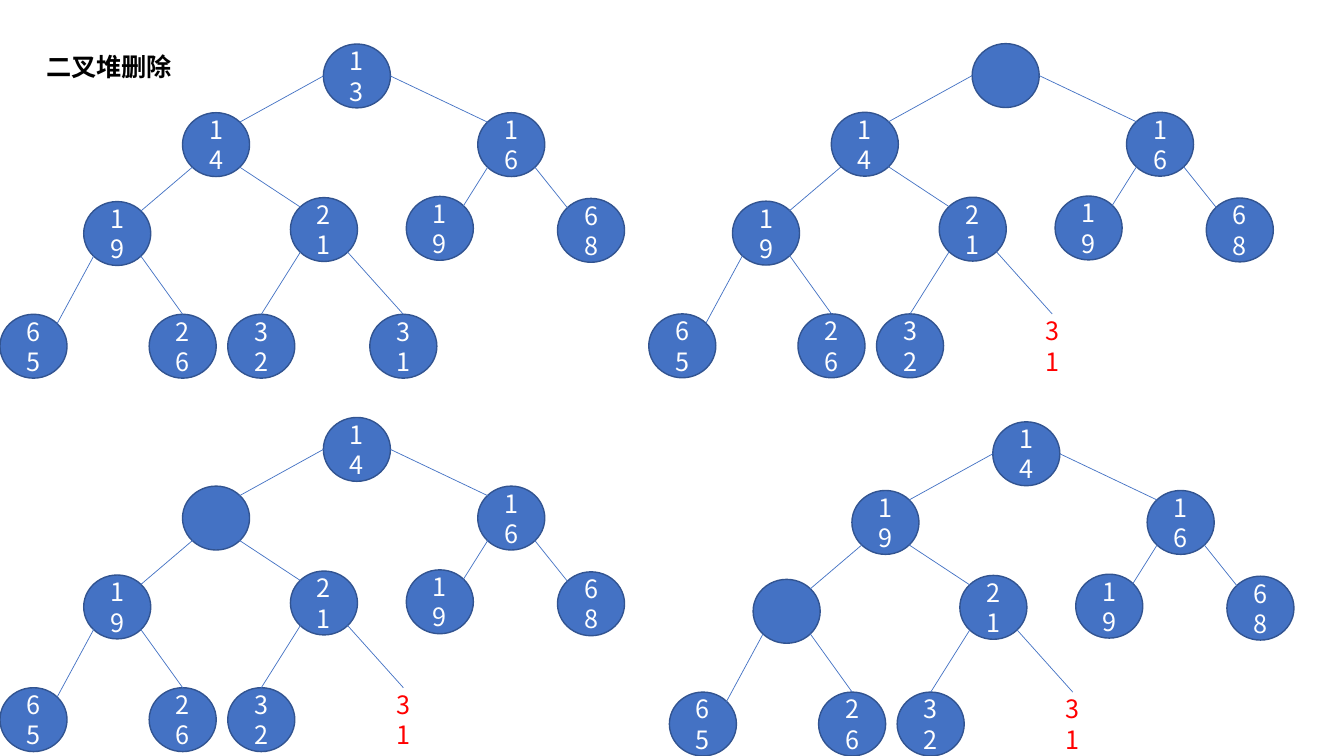
from lxml import etree
from pptx import Presentation
from pptx import util as u
from pptx.dml.color import RGBColor
from pptx.enum import shapes, text
from pptx.oxml.ns import qn

FONT = "Noto Sans CJK SC"


def color(hex_code):
    return RGBColor.from_string(hex_code)


def style_text(frame, words, ink, align, bold=False):
    paragraph = frame.paragraphs[0]
    paragraph.text = words
    paragraph.alignment = align
    font = paragraph.font
    font.name, font.size, font.bold = FONT, u.Pt(18), bold
    font.color.rgb = color(ink)
    # Chinese glyphs take the East Asian typeface
    latin = paragraph._p.pPr.find(qn("a:defRPr")).find(qn("a:latin"))
    east_asian = etree.Element(qn("a:ea"), typeface=FONT)
    latin.addnext(east_asian)


presentation = Presentation()
presentation.slide_width, presentation.slide_height = u.Cm(33.87), u.Cm(19.05)
slide = presentation.slides.add_slide(presentation.slide_layouts[5])

# Title
title = slide.shapes.title
title.left, title.top, title.width, title.height = u.Cm(0.91), u.Cm(1.17), u.Cm(9.75), u.Cm(1.02)
title.text_frame.vertical_anchor = text.MSO_ANCHOR.TOP
title.text_frame.auto_size = text.MSO_AUTO_SIZE.NONE
style_text(title.text_frame, "二叉堆删除", "000000", text.PP_ALIGN.LEFT, bold=True)

# Heap layout in cm, level by level: the children of node i are 2i+1 and 2i+2
node_width, node_height = 1.69, 1.61
places = [
    (8.15, 0),
    (4.6, 1.73), (12.04, 1.73),
    (2.11, 3.97), (7.32, 3.87), (10.24, 3.84), (14.05, 3.89),
    (0, 6.81), (3.76, 6.81), (5.74, 6.81), (9.32, 6.81),
]

# Points on a node's rim, as shares of its width and height
top, left, right = (0.5, 0), (0, 0.5), (1, 0.5)
top_left, top_right = (0.15, 0.15), (0.85, 0.15)
bottom_left, bottom_right = (0.15, 0.85), (0.85, 0.85)
child_ends = [top_right, top_left, top_right, top_left, top_right,
              top_left, top_right, top, top, top]

# Steps of the deletion: left, top, keys (None is the hole), last node removed
steps = [
    (0, 1.11, [13, 14, 16, 19, 21, 19, 68, 65, 26, 32, 31], False),
    (16.35, 1.1, [None, 14, 16, 19, 21, 19, 68, 65, 26, 32, 31], True),
    (0, 10.52, [14, None, 16, 19, 21, 19, 68, 65, 26, 32, 31], True),
    (16.87, 10.63, [14, 19, 16, None, 21, 19, 68, 65, 26, 32, 31], True),
]

for step_left, step_top, keys, last_removed in steps:
    # Nodes
    for index, (key, (x, y)) in enumerate(zip(keys, places)):
        removed = last_removed and index == len(keys) - 1
        fill, rim, ink = ("FFFFFF", "FFFFFF", "FF0000") if removed else ("4472C4", "325491", "FFFFFF")
        node = slide.shapes.add_shape(
            shapes.MSO_SHAPE.OVAL, u.Cm(step_left + x), u.Cm(step_top + y),
            u.Cm(node_width), u.Cm(node_height))
        node.shadow.inherit = False
        node.fill.solid()
        node.fill.fore_color.rgb = color(fill)
        node.line.color.rgb = color(rim)
        node.line.width = u.Pt(1)
        if key is not None:
            node.text_frame.word_wrap = True
            node.text_frame.vertical_anchor = text.MSO_ANCHOR.MIDDLE
            style_text(node.text_frame, str(key), ink, text.PP_ALIGN.CENTER)

    # Edges from each parent to its child
    for child, child_end in enumerate(child_ends, start=1):
        parent = (child - 1) // 2
        is_left_child = child % 2 == 1
        if parent == 0:
            parent_end = left if is_left_child else right
        else:
            parent_end = bottom_left if is_left_child else bottom_right
        ends = []
        for index, (share_x, share_y) in ((parent, parent_end), (child, child_end)):
            x, y = places[index]
            ends += [u.Cm(step_left + x + share_x * node_width),
                     u.Cm(step_top + y + share_y * node_height)]
        edge = slide.shapes.add_connector(shapes.MSO_CONNECTOR.STRAIGHT, *ends)
        edge.line.color.rgb = color("4472C4")
        edge.line.width = u.Pt(0.5)
        etree.SubElement(edge._element.spPr, qn("a:effectLst"))

presentation.save("out.pptx")
